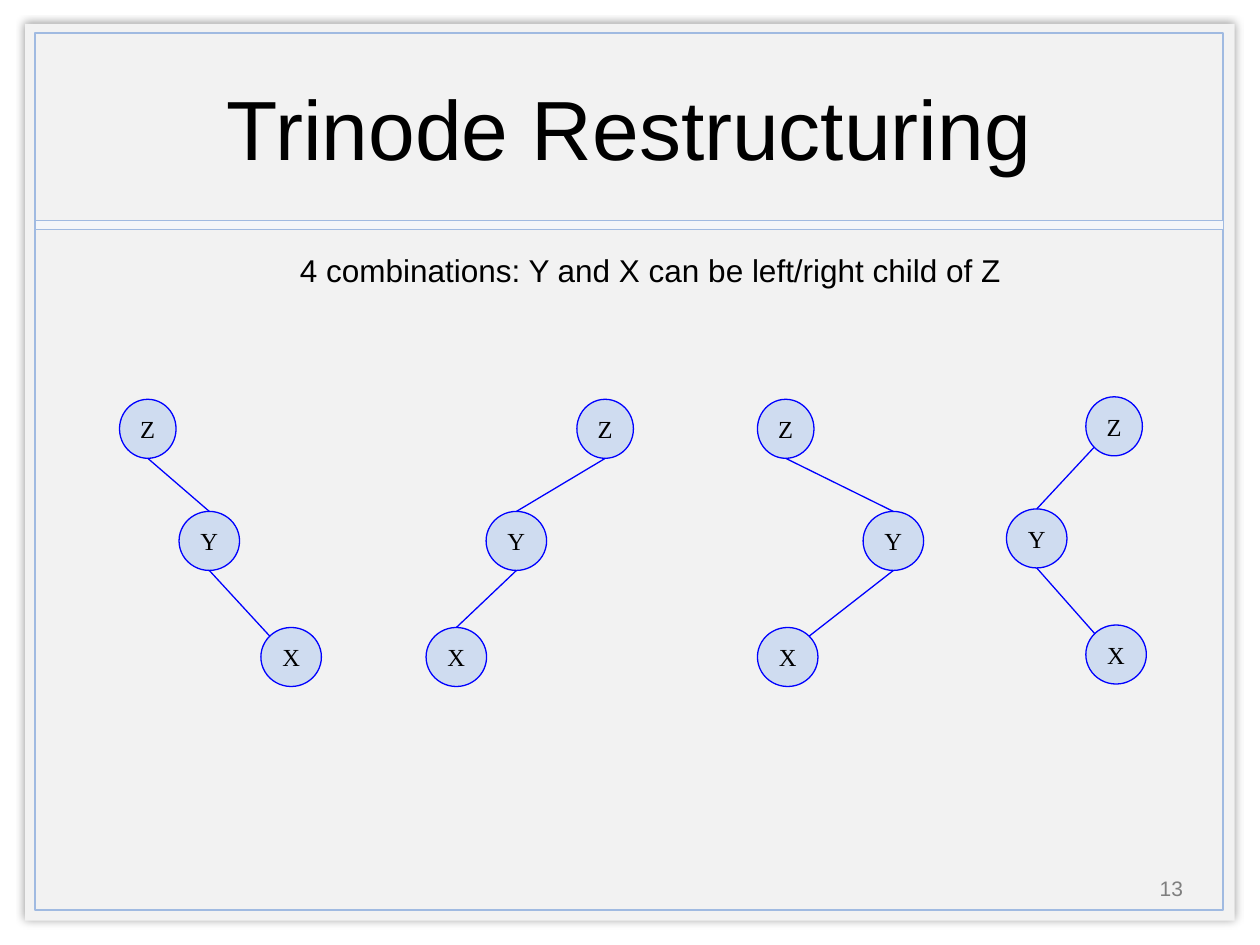
from dataclasses import dataclass
from typing import Any

import lxml.etree
import pptx
import pptx.dml.color
import pptx.enum.shapes
import pptx.enum.text
import pptx.oxml
import pptx.oxml.ns
import pptx.util

Cm = pptx.util.Cm
Pt = pptx.util.Pt
RGB = pptx.dml.color.RGBColor
SHAPE = pptx.enum.shapes.MSO_SHAPE
ALIGN = pptx.enum.text.PP_ALIGN
ANCHOR = pptx.enum.text.MSO_ANCHOR

BLACK = RGB(0, 0, 0)
GRAY = RGB(0x7F, 0x7F, 0x7F)
PANEL = RGB(0xF2, 0xF2, 0xF2)
STRIP = RGB(0xF4, 0xF6, 0xF9)
EDGE = RGB(0xA0, 0xBA, 0xE1)
DISC = RGB(0xCF, 0xDC, 0xF0)
BLUE = RGB(0, 0, 0xFF)

GLOW = (
    f'<a:effectLst {pptx.oxml.ns.nsdecls("a")}>'
    '<a:outerShdw blurRad="63500" dist="0" dir="0"><a:srgbClr val="000000">'
    '<a:alpha val="40000"/></a:srgbClr></a:outerShdw></a:effectLst>'
)

# Points on a node, as fractions of its width and height
TOP, BOTTOM = (0.5, 0), (0.5, 1)
TOP_LEFT, TOP_RIGHT, LOW_LEFT = (0.15, 0.15), (0.85, 0.15), (0.15, 0.85)

NAMES = ("Z", "Y", "X")
WIDTHS = (1.14, 1.22, 1.22)
TOPS = (8.05, 10.31, 12.65)
HEIGHT = 1.19


@dataclass
class Tree:
    lefts: tuple[float, float, float]
    end: tuple[float, float]
    start: tuple[float, float] = BOTTOM
    shift: float = 0


TREES = (
    Tree((2.41, 3.61, 5.26), TOP_LEFT),
    Tree((11.63, 9.8, 8.59), TOP),
    Tree((15.27, 17.4, 15.27), TOP_RIGHT),
    Tree((21.89, 20.29, 21.89), TOP_LEFT, LOW_LEFT, -0.05),
)


def add_form(shapes: Any, kind: Any, box: tuple, fill: RGB | None = None,
             line: RGB | None = None, width: float = 1) -> Any:
    form = shapes.add_shape(kind, *map(Cm, box))
    form.shadow.inherit = False
    if fill is None:
        form.fill.background()
    else:
        form.fill.solid()
        form.fill.fore_color.rgb = fill
    if line is None:
        form.line.fill.background()
    else:
        form.line.color.rgb = line
        form.line.width = Pt(width)
    return form


def set_text(form: Any, text: str, size: float, font: str = "Arial", color: RGB = BLACK,
             wrap: bool = True, anchor: Any = ANCHOR.MIDDLE) -> None:
    frame = form.text_frame
    frame.word_wrap = wrap
    frame.vertical_anchor = anchor
    para = frame.paragraphs[0]
    para.text = text
    para.alignment = ALIGN.CENTER
    para.font.size = Pt(size)
    para.font.name = font
    para.font.color.rgb = color


def add_edge(shapes: Any, start: tuple, end: tuple) -> None:
    edge = shapes.add_connector(pptx.enum.shapes.MSO_CONNECTOR.STRAIGHT,
                                *map(Cm, start + end))
    edge.line.color.rgb = BLUE
    edge.line.width = Pt(0.75)
    props = edge._element.spPr
    lxml.etree.SubElement(props, pptx.oxml.ns.qn("a:effectLst"))


def add_tree(slide: Any, tree: Tree) -> None:
    shapes = slide.shapes.add_group_shape().shapes
    boxes = [(left, top + tree.shift, width, HEIGHT)
             for left, top, width in zip(tree.lefts, TOPS, WIDTHS)]
    for name, box in zip(NAMES, boxes):
        node = add_form(shapes, SHAPE.OVAL, box, DISC, BLUE, 0.75)
        set_text(node, name, 14, "Times New Roman", wrap=False)

    def spot(box: tuple, site: tuple) -> tuple:
        left, top, width, height = box
        return left + site[0] * width, top + site[1] * height

    root, child, leaf = boxes
    add_edge(shapes, spot(root, tree.start), spot(child, TOP))
    add_edge(shapes, spot(child, BOTTOM), spot(leaf, tree.end))


def add_frame(slide: Any) -> None:
    shapes = slide.shapes
    panel = add_form(shapes, SHAPE.RECTANGLE, (0.51, 0.48, 24.38, 18.08), PANEL)
    props = panel._element.spPr
    props.replace(props.find(pptx.oxml.ns.qn("a:effectLst")), pptx.oxml.parse_xml(GLOW))
    add_form(shapes, SHAPE.RECTANGLE, (0.71, 0.66, 23.95, 17.68), None, EDGE)
    add_form(shapes, SHAPE.RECTANGLE, (0.71, 4.45, 23.95, 0.18), STRIP, EDGE, 0.25)


def add_label(slide: Any, box: tuple, *args: Any, **kwargs: Any) -> None:
    set_text(slide.shapes.add_textbox(*map(Cm, box)), *args, **kwargs)


def main() -> None:
    deck = pptx.Presentation()
    deck.slide_width, deck.slide_height = Cm(25.4), Cm(19.05)
    slide = deck.slides.add_slide(deck.slide_layouts[6])
    add_frame(slide)
    add_label(slide, (0.71, 0.69, 23.95, 3.73), "Trinode Restructuring", 48)
    add_label(slide, (22.56, 17.53, 2.11, 0.76), "13", 12, color=GRAY)
    add_label(slide, (5.72, 4.93, 14.78, 1.02),
              "4 combinations: Y and X can be left/right child of Z", 18,
              wrap=False, anchor=ANCHOR.TOP)
    for tree in TREES:
        add_tree(slide, tree)
    deck.save("out.pptx")


if __name__ == "__main__":
    main()
